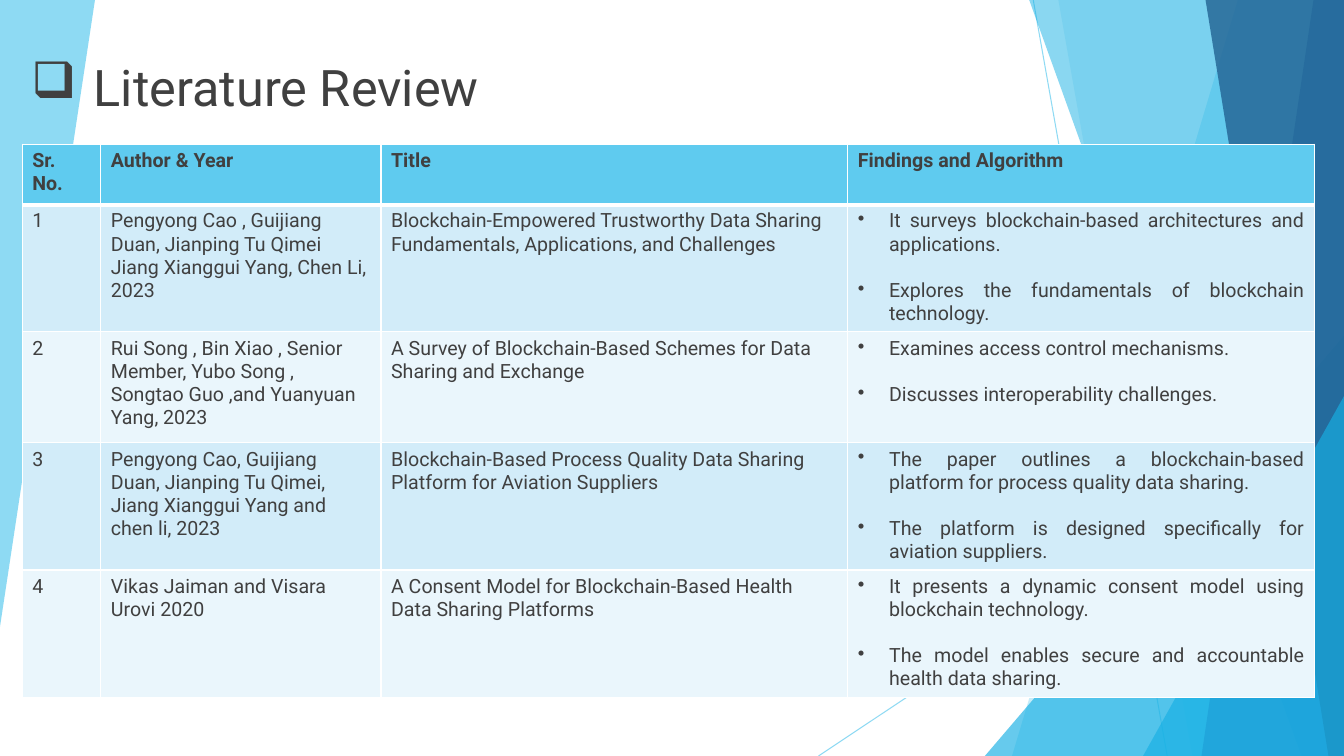
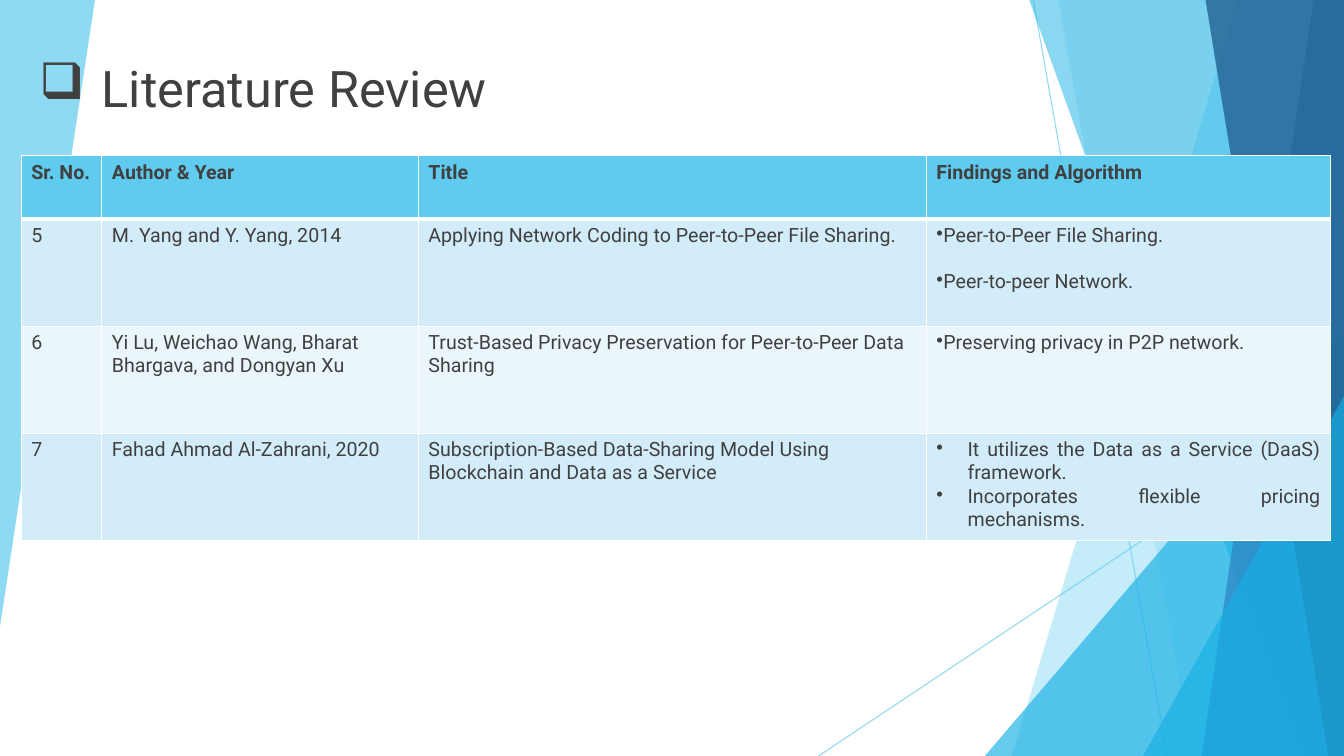
from dataclasses import dataclass
from itertools import pairwise

from lxml import etree
from pptx import Presentation
from pptx import util as u
from pptx.dml.color import RGBColor
from pptx.enum import shapes, text
from pptx.oxml.ns import qn

WIDTH, HEIGHT = u.Inches(13.333), u.Inches(7.5)
FONT = "Roboto"
INK, WHITE = "404040", "FFFFFF"
SKY, AQUA, BLUE, NAVY = "5FCBEF", "17B0E4", "2E83C3", "226292"
BAND_FILLS = ["D2ECF9", "EAF6FC"]
HEADINGS = ["Sr. No.", "Author & Year", "Title", "Findings and Algorithm"]
TITLE_SIZE, BODY_SIZE, BLANK_LINE = 36, 14, 16.4
TITLE_INDENT, BULLET_INDENT = 0.62, 0.31


@dataclass
class Findings:
    """Bulleted cell: hanging bullets are justified, the others stand flush."""
    items: list
    hanging: bool = True
    gap: float = BLANK_LINE


# Lengths are percentages of the slide's width and height
def across(percent):
    return u.Emu(round(WIDTH * percent / 100))


def down(percent):
    return u.Emu(round(HEIGHT * percent / 100))


def color(hex_value):
    return RGBColor.from_string(hex_value)


def set_opacity(shape, percent):
    for node in shape.element.xpath(".//a:srgbClr"):
        etree.SubElement(node, qn("a:alpha"), val=str(percent * 1000))


# Background facets
def paint_facet(shape, hex_value, opacity):
    shape.shadow.inherit = False
    shape.fill.solid()
    shape.fill.fore_color.rgb = color(hex_value)
    shape.line.fill.background()
    set_opacity(shape, opacity)


def add_polygon(group, points, hex_value, opacity):
    start, *others = [(across(x), down(y)) for x, y in points]
    builder = group.shapes.build_freeform(*start, scale=1.0)
    builder.add_line_segments(others, close=True)
    paint_facet(builder.convert_to_shape(), hex_value, opacity)


def add_right_band(group, top_x, bottom_x, hex_value, opacity):
    corners = [(top_x, 0), (100, 0), (100, 100), (bottom_x, 100)]
    add_polygon(group, corners, hex_value, opacity)


def add_corner_triangle(group, left, top):
    shape = group.shapes.add_shape(
        shapes.MSO_SHAPE.ISOSCELES_TRIANGLE,
        across(left), down(top), across(100 - left), down(100 - top))
    shape.adjustments[0] = 1
    paint_facet(shape, AQUA, 66)


def add_thin_line(group, start, end):
    line = group.shapes.add_connector(
        shapes.MSO_CONNECTOR.STRAIGHT,
        across(start[0]), down(start[1]), across(end[0]), down(end[1]))
    line.line.color.rgb = color(SKY)
    line.line.width = u.Pt(0.75)
    set_opacity(line, 70)
    etree.SubElement(line.element.spPr, qn("a:effectLst"))


def decorate_layout(layout, slide):
    """Draw the facets on a slide, then hand them to the shared layout."""
    group = slide.shapes.add_group_shape()
    add_polygon(group, [(0, 0), (7.07, 0), (0, 82.93)], SKY, 70)
    add_thin_line(group, (76.88, 0), (86.85, 100))
    add_thin_line(group, (100, 53.73), (60.9, 100))
    add_right_band(group, 92.1, 75.3, SKY, 36)
    add_right_band(group, 78.75, 88.73, SKY, 20)
    add_corner_triangle(group, 73.28, 44.4)
    add_right_band(group, 76.58, 96.83, AQUA, 50)
    add_right_band(group, 97.73, 89.4, BLUE, 70)
    add_right_band(group, 89.7, 98.85, NAVY, 80)
    add_corner_triangle(group, 85.05, 52.4)
    layout.shapes.element.append(group.element)


# Text
def add_run(paragraph, words, size, bold=False):
    run = paragraph.add_run()
    run.text = words
    run.font.name = FONT
    run.font.size = u.Pt(size)
    run.font.bold = bold
    run.font.color.rgb = color(INK)


def add_bullet(paragraph, character, indent):
    properties = paragraph._p.get_or_add_pPr()
    properties.set("marL", str(u.Inches(indent)))
    properties.set("indent", str(-u.Inches(indent)))
    etree.SubElement(properties, qn("a:buChar"), char=character)


def set_title(slide, words, left, top):
    title = slide.shapes.title
    title.left, title.top = across(left), down(top)
    title.width, title.height = across(36.6), down(9.47)
    frame = title.text_frame
    frame.word_wrap = True
    frame.auto_size = text.MSO_AUTO_SIZE.SHAPE_TO_FIT_TEXT
    frame.vertical_anchor = text.MSO_ANCHOR.TOP
    paragraph = frame.paragraphs[0]
    paragraph.alignment = text.PP_ALIGN.LEFT
    add_bullet(paragraph, "❑", TITLE_INDENT)
    add_run(paragraph, words, TITLE_SIZE)


# Table
def style_cell(cell, fill, top_width, bottom_width):
    properties = cell._tc.get_or_add_tcPr()
    edges = {"lnL": 1, "lnR": 1, "lnT": top_width, "lnB": bottom_width}
    for edge, width in edges.items():
        line = etree.SubElement(properties, qn(f"a:{edge}"), w=str(u.Pt(width)))
        solid = etree.SubElement(line, qn("a:solidFill"))
        etree.SubElement(solid, qn("a:srgbClr"), val=WHITE)
    cell.fill.solid()
    cell.fill.fore_color.rgb = color(fill)


def fill_findings(frame, findings):
    for index, item in enumerate(findings.items):
        paragraph = frame.paragraphs[0] if index == 0 else frame.add_paragraph()
        if item is not findings.items[-1]:
            paragraph.space_after = u.Pt(findings.gap)
        if findings.hanging:
            paragraph.alignment = text.PP_ALIGN.JUSTIFY
        add_bullet(paragraph, "•", BULLET_INDENT if findings.hanging else 0)
        add_run(paragraph, item, BODY_SIZE)


def add_review_table(slide, left, top, columns, rows, entries):
    records = [HEADINGS, *entries]
    table = slide.shapes.add_table(
        len(records), len(columns), across(left), down(top),
        across(sum(columns)), down(sum(rows))).table
    for column, width in zip(table.columns, columns):
        column.width = across(width)
    for row, height in zip(table.rows, rows):
        row.height = down(height)

    # The rule under the heading row is heavier than the others
    rules = pairwise([1, 3] + [1] * len(entries))
    for row_index, (record, (above, below)) in enumerate(zip(records, rules)):
        heading = row_index == 0
        fill = SKY if heading else BAND_FILLS[(row_index - 1) % 2]
        for column_index, content in enumerate(record):
            cell = table.cell(row_index, column_index)
            style_cell(cell, fill, above, below)
            if isinstance(content, Findings):
                fill_findings(cell.text_frame, content)
            else:
                add_run(cell.text_frame.paragraphs[0], content, BODY_SIZE, heading)


FIRST_ENTRIES = [
    ("1", "Pengyong Cao , Guijiang Duan, Jianping Tu Qimei Jiang Xianggui Yang, Chen Li, 2023",
     "Blockchain-Empowered Trustworthy Data Sharing Fundamentals, Applications, and Challenges",
     Findings(["It surveys blockchain-based architectures and applications.",
               "Explores the fundamentals of blockchain technology."])),
    ("2", "Rui Song , Bin Xiao , Senior Member, Yubo Song , Songtao Guo ,and Yuanyuan Yang, 2023",
     "A Survey of Blockchain-Based Schemes for Data Sharing and Exchange",
     Findings(["Examines access control mechanisms.",
               "Discusses interoperability challenges."])),
    ("3", "Pengyong Cao, Guijiang Duan, Jianping Tu Qimei, Jiang Xianggui Yang and chen li, 2023",
     "Blockchain-Based Process Quality Data Sharing Platform for Aviation Suppliers",
     Findings(["The paper outlines a blockchain-based platform for process quality data sharing.",
               "The platform is designed specifically for aviation suppliers."])),
    ("4", "Vikas Jaiman and Visara Urovi 2020",
     "A Consent Model for Blockchain-Based Health Data Sharing Platforms",
     Findings(["It presents a dynamic consent model using blockchain technology.",
               "The model enables secure and accountable health data sharing."])),
]

SECOND_ENTRIES = [
    ("5", "M. Yang and Y. Yang, 2014",
     "Applying Network Coding to Peer-to-Peer File Sharing.",
     Findings(["Peer-to-Peer File Sharing.", "Peer-to-peer Network."], hanging=False)),
    ("6", "Yi Lu, Weichao Wang, Bharat Bhargava, and Dongyan Xu",
     "Trust-Based Privacy Preservation for Peer-to-Peer Data Sharing",
     Findings(["Preserving privacy in P2P network."], hanging=False)),
    ("7", "Fahad Ahmad Al-Zahrani, 2020",
     "Subscription-Based Data-Sharing Model Using Blockchain and Data as a Service",
     Findings(["It utilizes the Data as a Service (DaaS) framework.",
               "Incorporates flexible pricing mechanisms."], gap=0)),
]


def main():
    presentation = Presentation()
    presentation.slide_width, presentation.slide_height = WIDTH, HEIGHT
    layout = presentation.slide_layouts.get_by_name("Title Only")

    # Papers 1 to 4
    slide = presentation.slides.add_slide(layout)
    decorate_layout(layout, slide)
    set_title(slide, "Literature Review", 1.58, 6.8)
    add_review_table(slide, 1.65, 19.07, [5.85, 20.85, 34.73, 34.73],
                     [8, 16.67, 14.67, 16.67, 16.67], FIRST_ENTRIES)

    # Papers 5 to 7
    slide = presentation.slides.add_slide(layout)
    set_title(slide, "Literature Review", 2.18, 6.93)
    add_review_table(slide, 1.58, 20.6, [6, 23.55, 37.8, 30.08],
                     [8.4] + [14.17] * 3, SECOND_ENTRIES)

    presentation.save("out.pptx")


if __name__ == "__main__":
    main()
